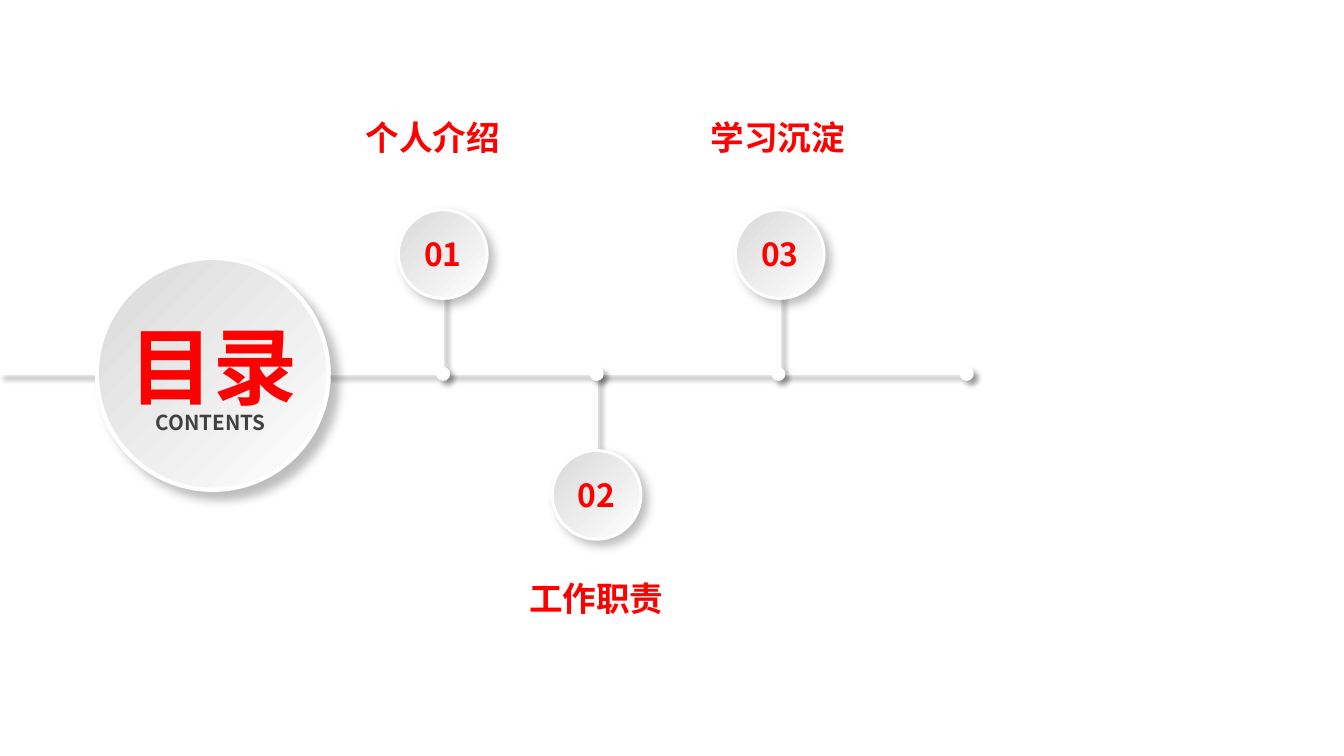
from dataclasses import dataclass
from lxml import etree
from pptx import Presentation
from pptx import util as u
from pptx.dml.color import RGBColor
from pptx.enum import shapes, text
from pptx.oxml import ns


@dataclass(frozen=True)
class Theme:
    font: str = "Noto Sans CJK SC"
    accent: str = "FF0000"
    muted: str = "404040"
    white: str = "FFFFFF"
    gray: str = "D9D9D9"
    shadow: str = "000000"
    title: float = 60
    label: float = 24
    number: float = 22.7
    caption: float = 14.7


class ContentsSlide:
    def __init__(self, page, theme):
        self.page = page
        self.theme = theme

    def cast_shadow(self, item, opacity, blur, distance):
        effects = etree.SubElement(item._element.spPr, ns.qn("a:effectLst"))
        outer = etree.SubElement(
            effects, ns.qn("a:outerShdw"),
            blurRad=str(u.Pt(blur)), dist=str(u.Pt(distance)),
            dir="2700000", algn="tl", rotWithShape="0")
        color = etree.SubElement(outer, ns.qn("a:srgbClr"), val=self.theme.shadow)
        etree.SubElement(color, ns.qn("a:alpha"), val=str(opacity * 1000))

    def set_words(self, shape, words, size, color, wrap=True):
        frame = shape.text_frame
        frame.text = words
        frame.word_wrap = wrap
        frame.auto_size = text.MSO_AUTO_SIZE.NONE
        frame.vertical_anchor = text.MSO_ANCHOR.MIDDLE
        para = frame.paragraphs[0]
        para.alignment = text.PP_ALIGN.CENTER
        span = para.runs[0]
        span.font.size = u.Pt(size)
        span.font.bold = True
        span.font.name = self.theme.font
        span.font.color.rgb = RGBColor.from_string(color)
        etree.SubElement(span.font._element, ns.qn("a:ea"), typeface=self.theme.font)

    def line(self, x1, y1, x2, y2):
        line = self.page.shapes.add_connector(
            shapes.MSO_CONNECTOR.STRAIGHT, u.Pt(x1), u.Pt(y1), u.Pt(x2), u.Pt(y2))
        line.line.width = u.Pt(2)
        line.line.color.rgb = RGBColor.from_string(self.theme.white)
        stroke = line._element.spPr.find(ns.qn("a:ln"))
        etree.SubElement(stroke, ns.qn("a:tailEnd"), type="oval", w="lg", len="lg")
        self.cast_shadow(line, 40, 4, 4)

    def disc(self, center_x, center_y, diameter, rim, distance):
        disc = self.page.shapes.add_shape(
            shapes.MSO_SHAPE.OVAL, u.Pt(center_x - diameter / 2),
            u.Pt(center_y - diameter / 2), u.Pt(diameter), u.Pt(diameter))
        disc.fill.gradient()
        disc.fill.gradient_angle = 315
        for stop, color, position in zip(
                disc.fill.gradient_stops, (self.theme.gray, self.theme.white), (0, 1)):
            stop.color.rgb = RGBColor.from_string(color)
            stop.position = position
        disc.line.width = u.Pt(rim)
        disc.line.color.rgb = RGBColor.from_string(self.theme.white)
        self.cast_shadow(disc, 25, 7, distance)
        return disc

    def label(self, words, left, top, width, height, size, color, wrap=True):
        box = self.page.shapes.add_textbox(
            u.Pt(left), u.Pt(top), u.Pt(width), u.Pt(height))
        self.set_words(box, words, size, color, wrap)

    def title(self, words, left, top, width, height):
        title = self.page.shapes.title
        self.page.shapes._spTree.append(title._element)
        title.left, title.top = u.Pt(left), u.Pt(top)
        title.width, title.height = u.Pt(width), u.Pt(height)
        self.set_words(title, words, self.theme.title, self.theme.accent)


def main():
    theme = Theme()
    deck = Presentation()
    deck.slide_width, deck.slide_height = u.Pt(960), u.Pt(540)
    page = deck.slides.add_slide(deck.slide_layouts[5])
    slide = ContentsSlide(page, theme)

    axis_y = 267.1
    stem_length = 75
    steps = [
        ("01", "个人介绍", 316.3, 181.5, 253.4, 79.9),
        ("02", "工作职责", 426.2, 353.5, 370.1, 409),
        ("03", "学习沉淀", 557, 181.5, 499.7, 79.9),
    ]

    slide.line(0, axis_y, 144.7, axis_y)
    for number, name, x, disc_y, label_x, label_y in steps:
        if disc_y < axis_y:
            slide.line(x, axis_y - 3.6, x, axis_y - 3.6 - stem_length)
        else:
            slide.line(x, axis_y, x, axis_y + stem_length)

    nodes = [206, 316.6, 426.2, 556, 690.5]
    for start, end in reversed(list(zip(nodes, nodes[1:]))):
        slide.line(start, axis_y, end, axis_y)

    for number, name, x, disc_y, label_x, label_y in steps:
        disc = slide.disc(x, disc_y, 63.4, 2, 5)
        slide.set_words(disc, number, theme.number, theme.accent)

    slide.disc(152, 267.1, 165.6, 3, 8)
    slide.title("目录", 76.3, 220.3, 152, 80)
    slide.label("CONTENTS", 80, 288.7, 141, 25.2, theme.caption, theme.muted)
    for number, name, x, disc_y, label_x, label_y in steps:
        slide.label(name, label_x, label_y, 111.6, 36,
                    theme.label, theme.accent, wrap=False)

    deck.save("out.pptx")


if __name__ == "__main__":
    main()
